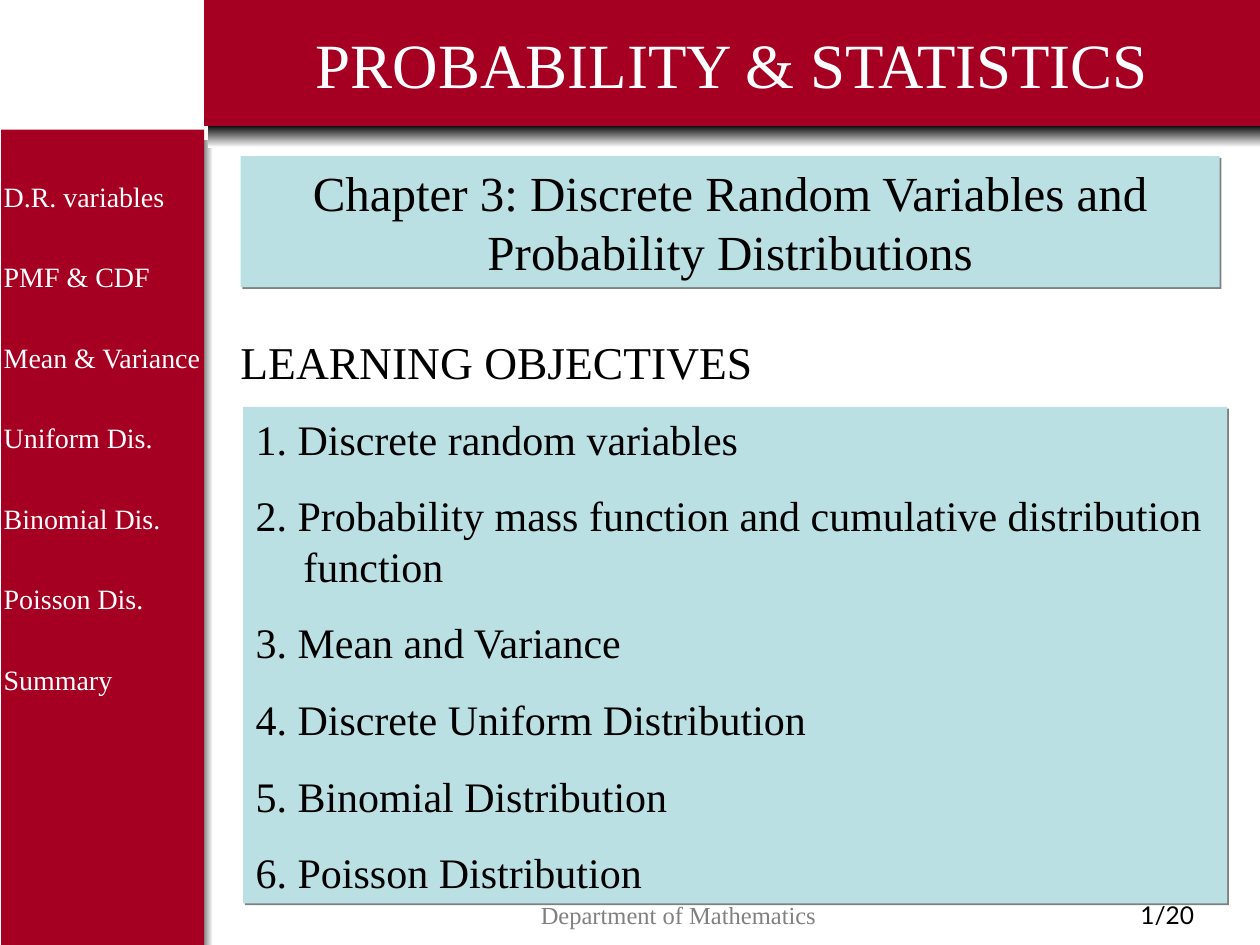
from dataclasses import dataclass

from lxml import etree
from pptx import Presentation
from pptx.dml.color import RGBColor as RGB
from pptx.enum.shapes import MSO_SHAPE as Shape
from pptx.enum.text import MSO_ANCHOR as Anchor, PP_ALIGN as Align
from pptx.oxml.ns import qn
from pptx.util import Inches, Pt


@dataclass(frozen=True)
class Theme:
    red: str = "A50021"
    panel: str = "BBE0E3"
    white: str = "FFFFFF"
    black: str = "000000"
    gray: str = "808080"
    serif: str = "Times New Roman"
    sans: str = "Lato"
    title: int = 36
    chapter: int = 28
    heading: int = 26
    body: int = 24
    menu: int = 16
    footer: int = 14


@dataclass(frozen=True)
class Box:
    left: float
    top: float
    width: float
    height: float

    def emu(self) -> list:
        return [Inches(v) for v in (self.left, self.top, self.width, self.height)]


T = Theme()

MENU = ["D.R. variables", "PMF & CDF", "Mean & Variance", "Uniform Dis.",
        "Binomial Dis.", "Poisson Dis.", "Summary"]
OBJECTIVES = [
    "1. Discrete random variables",
    "2. Probability mass function and cumulative distribution function",
    "3. Mean and Variance",
    "4. Discrete Uniform Distribution",
    "5. Binomial Distribution",
    "6. Poisson Distribution",
]


def add_rect(s, box: Box, color: str):
    sp = s.shapes.add_shape(Shape.RECTANGLE, *box.emu())
    sp.shadow.inherit = False
    sp.line.fill.background()
    sp.fill.solid()
    sp.fill.fore_color.rgb = RGB.from_string(color)
    return sp


def add_fade(s, box: Box, angle: int, colors: tuple) -> None:
    """Gradient strip; the angle runs counter-clockwise."""
    fill = add_rect(s, box, T.white).fill
    fill.gradient()
    fill.gradient_angle = angle
    for stop, color, position in zip(fill.gradient_stops, colors, (0, 1)):
        stop.color.rgb = RGB.from_string(color)
        stop.position = position


def add_panel(s, box: Box):
    """Light panel with a hard gray shadow at its lower right."""
    sp = add_rect(s, box, T.panel)
    effects = sp._element.spPr.find(qn("a:effectLst"))
    shadow = etree.SubElement(effects, qn("a:outerShdw"), blurRad="0",
                              dist=str(Pt(1.4)), dir=str(45 * 60000),
                              algn="ctr", rotWithShape="0")
    etree.SubElement(shadow, qn("a:srgbClr"), val=T.gray)
    return sp


def add_text_box(s, box: Box):
    return s.shapes.add_textbox(*box.emu())


def write(sp, *lines: str, size: float, color: str = T.black,
          font: str = T.serif, align=Align.LEFT, anchor=Anchor.TOP,
          before: float = 0, spacing: float = 1, hanging: float = 0,
          left: float = 0.1, right: float = 0.1) -> None:
    tf = sp.text_frame
    tf.word_wrap = True
    tf.vertical_anchor = anchor
    tf.margin_left, tf.margin_right = Inches(left), Inches(right)
    tf.margin_top = tf.margin_bottom = Inches(0.05)
    for i, line in enumerate(lines):
        p = tf.add_paragraph() if i else tf.paragraphs[0]
        p.alignment = align
        p.line_spacing = spacing
        p.space_before = Pt(before if i else 0)
        if hanging:
            pPr = p._p.get_or_add_pPr()
            pPr.set("marL", str(Inches(hanging)))
            pPr.set("indent", str(-Inches(hanging)))
        r = p.add_run()
        r.text = line
        r.font.size = Pt(size)
        r.font.name = font
        r.font.color.rgb = RGB.from_string(color)


def main() -> None:
    prs = Presentation()
    prs.slide_width, prs.slide_height = Inches(10), Inches(7.5)
    s = prs.slides.add_slide(prs.slide_layouts[6])

    # Sidebar and the shadows cast by the frame
    add_fade(s, Box(1.54, 1.11, 0.15, 6.39), 180, (T.white, T.black))
    add_rect(s, Box(0.01, 1.03, 1.61, 6.47), T.red)
    add_fade(s, Box(1.65, 0.99, 8.35, 0.18), 270, (T.black, T.white))
    write(add_text_box(s, Box(0, 1.32, 1.64, 4.5)), *MENU, size=T.menu,
          color=T.white, spacing=1.2, before=23, left=0.03, right=0)

    # Footer
    write(add_text_box(s, Box(8.53, 7.09, 1.47, 0.36)), "1/20",
          size=T.footer, font=T.sans, align=Align.CENTER)
    write(add_text_box(s, Box(2.34, 7.09, 6.09, 0.36)),
          "Department of Mathematics",
          size=T.footer, color=T.gray, align=Align.CENTER)

    # Title bar
    write(add_rect(s, Box(1.62, 0, 8.38, 1), T.red),
          "PROBABILITY & STATISTICS", size=T.title, color=T.white,
          align=Align.CENTER, anchor=Anchor.MIDDLE)

    # Learning objectives
    write(add_text_box(s, Box(1.81, 2.6, 7.02, 0.54)), "LEARNING OBJECTIVES",
          size=T.heading)
    write(add_panel(s, Box(1.93, 3.23, 7.81, 3.94)), *OBJECTIVES,
          size=T.body, before=15, hanging=0.38)

    # Chapter heading
    write(add_panel(s, Box(1.91, 1.24, 7.77, 1.04)),
          "Chapter 3: Discrete Random Variables and Probability Distributions",
          size=T.chapter, align=Align.CENTER)

    prs.save("out.pptx")


if __name__ == "__main__":
    main()
